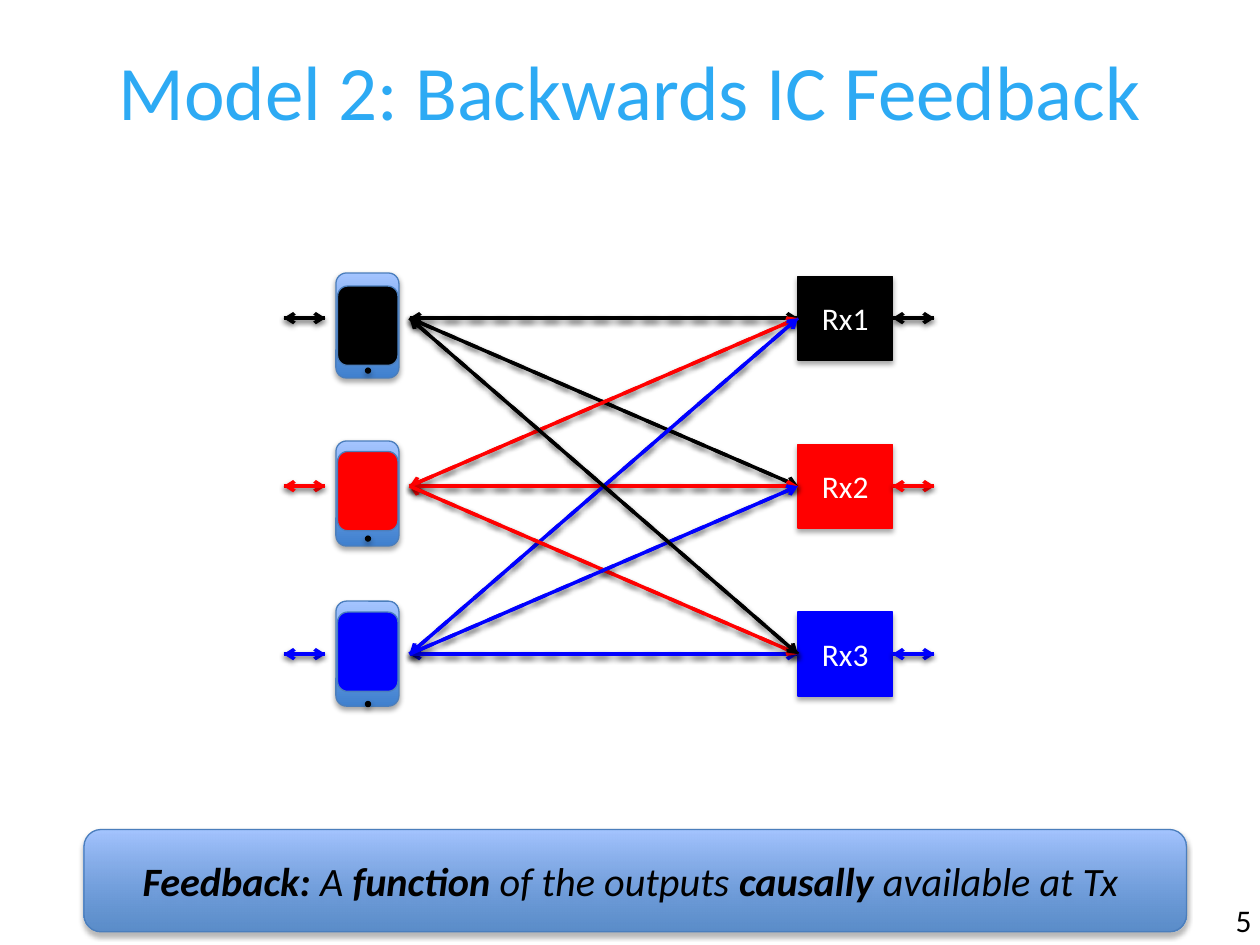
from lxml import etree
from pptx import Presentation, util as u
from pptx.dml.color import RGBColor
from pptx.enum import dml, shapes, text
from pptx.oxml import ns

COLORS = {
    "title": "2DAAF4", "black": "000000", "red": "FF0000", "blue": "0000FF",
    "white": "FFFFFF", "outline": "4B7EBC", "deep": "3F80CE", "pale": "A4C4FF",
}
USERS = ("black", "red", "blue")
FONT = "Calibri"
CELL = u.Inches(1 / 12)
PITCH = 16
PHONE_LEFT, RECEIVER_LEFT = 32, 76
RECEIVER_TOP, RECEIVER_WIDTH, RECEIVER_HEIGHT = 26.3, 9, 8
LINE_TOP = RECEIVER_TOP + RECEIVER_HEIGHT / 2
PHONE_ROWS = ((26, 27.25, 35), (42, 43, 51), (57.25, 58.3, 66.75))


def cells(*values):
    """Convert grid counts to slide lengths."""
    return [round(value * CELL) for value in values]


def color(name):
    """Look up a named colour."""
    return RGBColor.from_string(COLORS[name])


def add_shadow(properties, distance, opacity):
    """Give shape properties a soft shadow falling straight down."""
    effects = properties.find(ns.qn("a:effectLst"))
    if effects is None:
        effects = etree.SubElement(properties, ns.qn("a:effectLst"))
    shadow = etree.SubElement(effects, ns.qn("a:outerShdw"), blurRad="40000",
                              dist=str(distance), dir="5400000", rotWithShape="0")
    tint = etree.SubElement(shadow, ns.qn("a:srgbClr"), val=COLORS["black"])
    etree.SubElement(tint, ns.qn("a:alpha"), val=str(opacity * 1000))


def add_box(slide, kind, box, fill=None, line=None, shadow=True):
    """Add a preset shape, with the blue gradient when no fill is named."""
    shape = slide.shapes.add_shape(kind, *cells(*box))
    shape.shadow.inherit = False
    if fill:
        shape.fill.solid()
        shape.fill.fore_color.rgb = color(fill)
    else:
        shape.fill.gradient()
        shape.fill.gradient_angle = 90
        for stop, name in zip(shape.fill.gradient_stops, ("deep", "pale")):
            stop.color.rgb = color(name)
    if line:
        shape.line.color.rgb = color(line)
        shape.line.width = u.Pt(0.75)
    else:
        shape.line.fill.background()
    if shadow:
        add_shadow(shape._element.spPr, 23000, 35)
    return shape


def write(shape, runs, size, name, align, anchor, italic=False):
    """Write (words, bold) runs as one paragraph."""
    frame = shape.text_frame
    frame.word_wrap = True
    frame.vertical_anchor = anchor
    paragraph = frame.paragraphs[0]
    paragraph.alignment = align
    for words, bold in runs:
        run = paragraph.add_run()
        run.text = words
        run.font.name, run.font.size = FONT, u.Pt(size)
        run.font.bold, run.font.italic = bold, italic
        run.font.color.rgb = color(name)


def add_label(slide, box, words, size, name, align):
    """Add a text box anchored at its top."""
    label = slide.shapes.add_textbox(*cells(*box))
    write(label, [(words, False)], size, name, align, text.MSO_ANCHOR.TOP)


def add_arrow(slide, start, end, name, arrow_end, dashed=False):
    """Add a shadowed line with an arrow at headEnd or tailEnd."""
    connector = slide.shapes.add_connector(
        shapes.MSO_CONNECTOR.STRAIGHT, *cells(*start, *end))
    connector.line.color.rgb = color(name)
    connector.line.width = u.Pt(2)
    if dashed:
        connector.line.dash_style = dml.MSO_LINE.DASH
    properties = connector._element.spPr
    etree.SubElement(properties.find(ns.qn("a:ln")), ns.qn(f"a:{arrow_end}"), type="arrow")
    add_shadow(properties, 20000, 38)
    return connector


def add_receivers(slide, left, top):
    """Stack one labelled receiver per user and return them."""
    receivers = []
    for row, name in enumerate(USERS):
        box = (left, top + row * PITCH, RECEIVER_WIDTH, RECEIVER_HEIGHT)
        receiver = add_box(slide, shapes.MSO_SHAPE.RECTANGLE, box, name, name)
        write(receiver, [(f"Rx{row + 1}", False)], 18, "white",
              text.PP_ALIGN.CENTER, text.MSO_ANCHOR.MIDDLE)
        receivers.append(receiver)
    return receivers


def add_channel(slide, left, receivers, arrow_end, dashed):
    """Link every transmitter to every receiver."""
    for source, target in ((0, 0), (0, 1), (1, 1), (2, 2), (1, 0),
                           (2, 0), (1, 2), (2, 1), (0, 2)):
        start = (left, LINE_TOP + source * PITCH)
        end = (RECEIVER_LEFT, LINE_TOP + target * PITCH)
        link = add_arrow(slide, start, end, USERS[source], arrow_end, dashed)
        link.end_connect(receivers[target], 1)


def add_phone(slide, left, tops, name):
    """Draw a phone body, its coloured screen and its button."""
    body, screen, button = tops
    rounded = shapes.MSO_SHAPE.ROUNDED_RECTANGLE
    add_box(slide, rounded, (left, body, 6, 10), line="outline")
    add_box(slide, rounded, (left + 0.15, screen, 5.75, 7.55), name, "outline", False)
    add_box(slide, shapes.MSO_SHAPE.OVAL, (left + 2.75, button, 0.6, 0.6), "black")


def add_ports(slide, left, length, arrow_end, receivers=None):
    """Add a short arrow per user, joined to receivers when given."""
    for row, name in enumerate(USERS):
        top = LINE_TOP + row * PITCH
        port = add_arrow(slide, (left, top), (left + length, top), name, arrow_end)
        if receivers:
            port.begin_connect(receivers[row], 3)


def add_feedback(slide, box):
    """Add the banner that defines feedback."""
    banner = add_box(slide, shapes.MSO_SHAPE.ROUNDED_RECTANGLE, box, line="outline")
    base = banner._element.spPr.find(".//" + ns.qn("a:srgbClr"))
    etree.SubElement(base, ns.qn("a:alpha"), val="77000")
    runs = [("Feedback: ", True), ("A ", False), ("function ", True),
            ("of the outputs ", False), ("causally ", True), ("available at Tx ", False)]
    write(banner, runs, 23, "black", text.PP_ALIGN.CENTER, text.MSO_ANCHOR.MIDDLE, True)


def add_network(slide):
    """Draw transmitters, receivers and the links in both directions."""
    receivers = add_receivers(slide, RECEIVER_LEFT, RECEIVER_TOP)
    for arrow_end, dashed in (("headEnd", True), ("tailEnd", False)):
        add_channel(slide, PHONE_LEFT + 7, receivers, arrow_end, dashed)
    for tops, name in zip(PHONE_ROWS, USERS):
        add_phone(slide, PHONE_LEFT, tops, name)
    for arrow_end in ("tailEnd", "headEnd"):
        add_ports(slide, PHONE_LEFT - 5, 4, arrow_end)
        add_ports(slide, RECEIVER_LEFT + RECEIVER_WIDTH, 4, arrow_end, receivers)


def main():
    """Build and save the slide."""
    presentation = Presentation()
    presentation.slide_width, presentation.slide_height = cells(120, 90)
    slide = presentation.slides.add_slide(presentation.slide_layouts[6])
    add_label(slide, (6, 3.6, 108, 15), "Model 2: Backwards IC Feedback", 44,
              "title", text.PP_ALIGN.CENTER)
    add_network(slide)
    add_label(slide, (116.5, 85.2, 6.5, 4.8), "5", 18, "black", text.PP_ALIGN.LEFT)
    add_feedback(slide, (8, 79, 105, 9.75))
    presentation.save("out.pptx")


if __name__ == "__main__":
    main()
